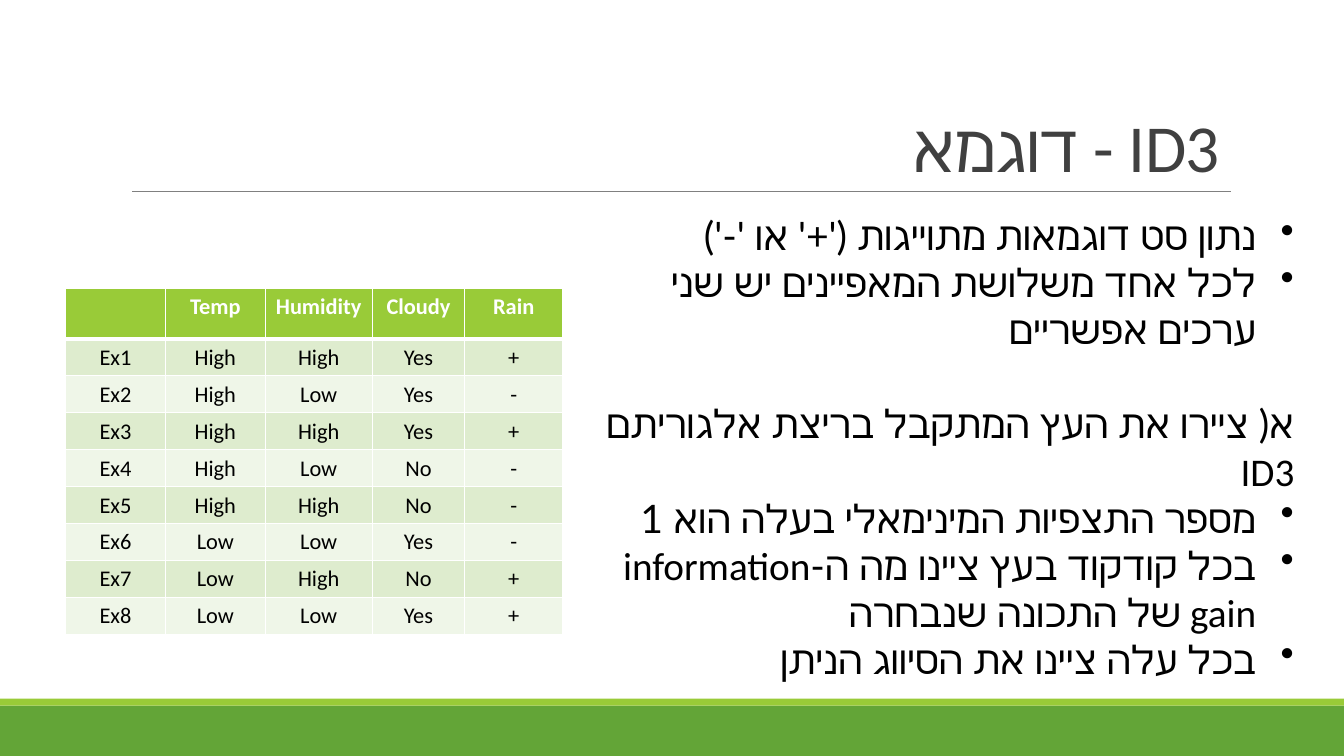
from lxml.etree import SubElement as Sub
from pptx import Presentation
from pptx.dml.color import RGBColor as RGB
from pptx.enum.shapes import MSO_CONNECTOR as LINK, MSO_SHAPE as SHAPE
from pptx.enum.text import MSO_ANCHOR as ANCHOR, PP_ALIGN as ALIGN
from pptx.oxml.ns import qn
from pptx.util import Inches, Pt

GREEN = RGB(0x63, 0xA5, 0x37)
LIME = RGB(0x99, 0xCB, 0x38)
PALE = RGB(0xDE, 0xEC, 0xCE)
MIST = RGB(0xEF, 0xF6, 0xE8)
GRAY = RGB(0x80, 0x80, 0x80)
DARK = RGB(0x40, 0x40, 0x40)
BLACK = RGB(0, 0, 0)
WHITE = RGB(0xFF, 0xFF, 0xFF)

# The slide is a grid of 100 columns by 100 rows
WIDE, HIGH = Inches(13.333), Inches(7.5)

TITLE = {"size": Pt(48), "color": DARK, "name": "Calibri"}
BODY = {"size": Pt(28), "color": BLACK, "name": "Lato"}
LATIN = {**BODY, "name": "Calibri"}
CELL = {"size": Pt(16), "color": BLACK, "name": "Calibri", "bold": False}
HEAD = {**CELL, "color": WHITE, "bold": True}

COLS = [7.43, 7.43, 7.95, 6.9, 7.28]
ROWS = [
    ["", "Temp", "Humidity", "Cloudy", "Rain"],
    ["Ex1", "High", "High", "Yes", "+"],
    ["Ex2", "High", "Low", "Yes", "-"],
    ["Ex3", "High", "High", "Yes", "+"],
    ["Ex4", "High", "Low", "No", "-"],
    ["Ex5", "High", "High", "No", "-"],
    ["Ex6", "Low", "Low", "Yes", "-"],
    ["Ex7", "Low", "High", "No", "+"],
    ["Ex8", "Low", "Low", "Yes", "+"],
]

# Each paragraph: bullet or not, space before, runs
TASKS = [
    (True, 0, [("נתון סט דוגמאות מתוייגות ('+' או '-') ", BODY)]),
    (True, 0, [("לכל אחד משלושת המאפיינים יש שני ערכים אפשריים", BODY)]),
    (False, 33.6, [("א( ציירו את העץ המתקבל בריצת אלגוריתם ", BODY),
                   ("ID3 ", LATIN)]),
    (True, 0, [("מספר התצפיות המינימאלי בעלה הוא 1 ", BODY)]),
    (True, 0, [("בכל קודקוד בעץ ציינו מה ה-", BODY),
               ("information gain ", LATIN),
               ("של התכונה שנבחרה ", BODY)]),
    (True, 0, [("בכל עלה ציינו את הסיווג הניתן", BODY)]),
]


def col(n):
    return round(WIDE * n / 100)


def row(n):
    return round(HIGH * n / 100)


def area(x, y, w, h):
    return col(x), row(y), col(w), row(h)


def style(run, form):
    for key, val in form.items():
        if key == "color":
            run.font.color.rgb = val
        else:
            setattr(run.font, key, val)


def add_run(para, text, form):
    run = para.add_run()
    run.text = text
    style(run, form)
    Sub(run.font._element, qn("a:cs"), typeface=form["name"])
    return run


def set_rtl(para):
    para.alignment = ALIGN.RIGHT
    para._p.get_or_add_pPr().set("rtl", "1")


def add_bar(slide, box, color):
    bar = slide.shapes.add_shape(SHAPE.RECTANGLE, *box)
    bar.shadow.inherit = False
    bar.fill.solid()
    bar.fill.fore_color.rgb = color
    bar.line.fill.background()


def add_rule(slide, left, right, y):
    rule = slide.shapes.add_connector(
        LINK.STRAIGHT, col(left), row(y), col(right), row(y))
    rule.line.color.rgb = GRAY
    rule.line.width = Pt(0.5)
    Sub(rule._element.spPr, qn("a:effectLst"))


def add_box(slide, box, anchor):
    frame = slide.shapes.add_textbox(*box).text_frame
    frame.word_wrap = True
    frame.vertical_anchor = anchor
    return frame


def add_title(slide, box, text):
    para = add_box(slide, box, ANCHOR.BOTTOM).paragraphs[0]
    set_rtl(para)
    para.line_spacing = 0.85
    run = add_run(para, text, TITLE)
    run.font._element.set("spc", "-50")


def add_tasks(slide, box):
    frame = add_box(slide, box, ANCHOR.TOP)
    for i, (dot, gap, runs) in enumerate(TASKS):
        para = frame.add_paragraph() if i else frame.paragraphs[0]
        set_rtl(para)
        if gap:
            para.space_before = Pt(gap)
        if dot:
            props = para._p.get_or_add_pPr()
            props.set("marL", str(Inches(0.38)))
            props.set("indent", str(-Inches(0.38)))
            Sub(props, qn("a:buChar"), char="•")
        for text, form in runs:
            add_run(para, text, form)


def add_edges(cell, widths):
    props = cell._tc.get_or_add_tcPr()
    for side, width in widths.items():
        edge = Sub(props, qn("a:ln" + side), w=str(Pt(width)))
        fill = Sub(edge, qn("a:solidFill"))
        Sub(fill, qn("a:srgbClr"), val=str(WHITE))


def add_grid(slide, box):
    grid = slide.shapes.add_table(len(ROWS), len(COLS), *box).table
    for part, width in zip(grid.columns, COLS):
        part.width = col(width)
    for r, texts in enumerate(ROWS):
        grid.rows[r].height = row(3.87 if r else 6.67)
        for c, text in enumerate(texts):
            cell = grid.cell(r, c)
            add_edges(cell, {"L": 1, "R": 1, "T": 3 if r == 1 else 1,
                             "B": 1 if r else 3})
            cell.fill.solid()
            cell.fill.fore_color.rgb = (
                LIME if r == 0 else PALE if r % 2 else MIST)
            para = cell.text_frame.paragraphs[0]
            para.alignment = ALIGN.CENTER
            if text:
                add_run(para, text, CELL if r else HEAD)


def main():
    deck = Presentation()
    deck.slide_width, deck.slide_height = WIDE, HIGH
    slide = deck.slides.add_slide(deck.slide_layouts[6])
    # Footer bands and title rule
    add_bar(slide, area(0, 93.33, 100, 6.67), GREEN)
    add_bar(slide, area(0, 92.4, 100, 0.93), LIME)
    add_rule(slide, 9.83, 91.58, 25.33)
    # Title, tasks and examples
    add_title(slide, area(9, 4.13, 82.5, 21.2), "ID3 - דוגמא")
    add_tasks(slide, area(43.65, 27.33, 53.4, 57.87))
    add_grid(slide, area(4.88, 38.13, sum(COLS), 45.73))
    deck.save("out.pptx")


if __name__ == "__main__":
    main()
